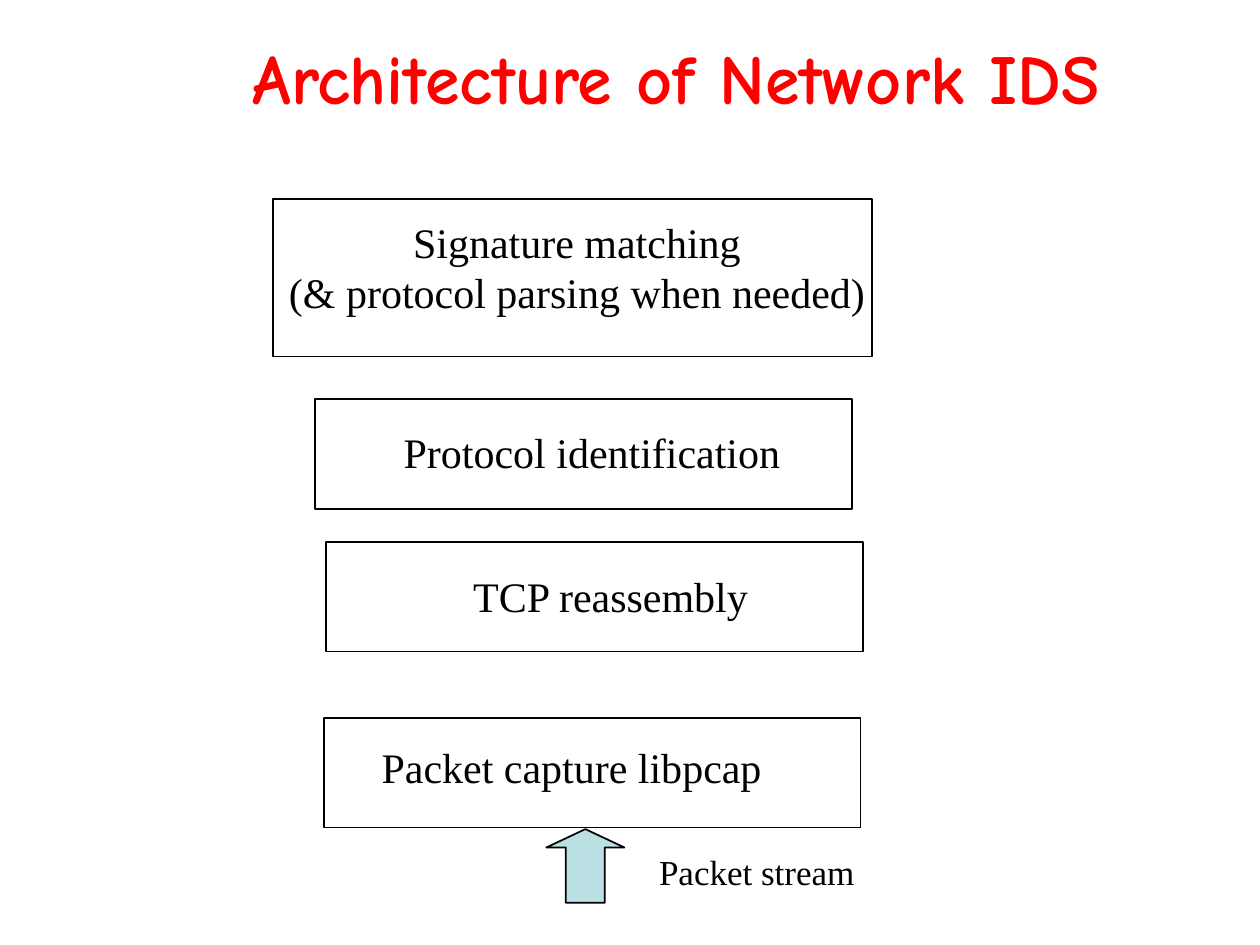
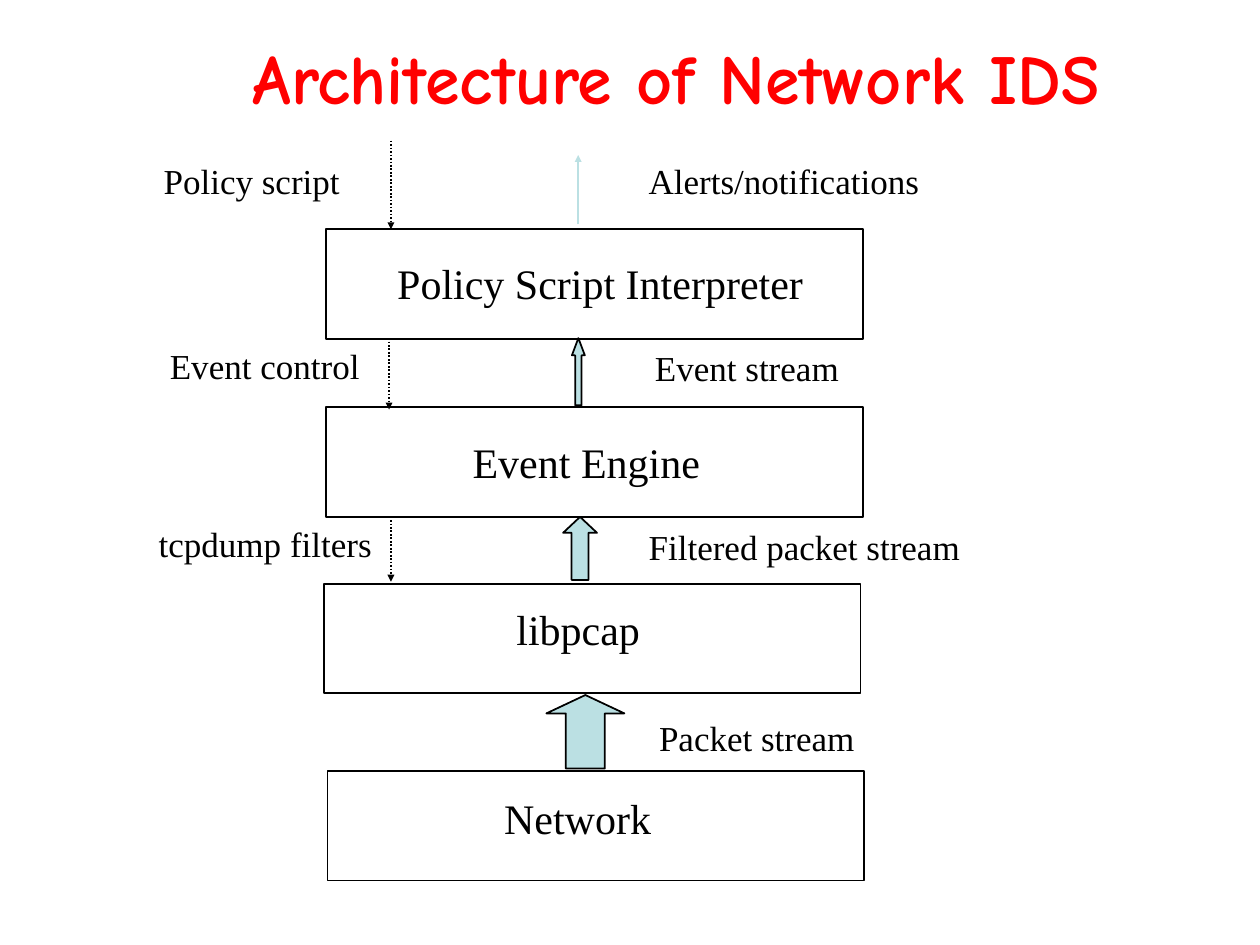
import pptx
import pptx.util
import pptx.dml.color
import pptx.enum.dml
import pptx.enum.shapes
import pptx.enum.text
from lxml import etree

Pt = pptx.util.Pt
SHAPES = pptx.enum.shapes.MSO_SHAPE
ALIGN = pptx.enum.text.PP_ALIGN
ANCHOR = pptx.enum.text.MSO_ANCHOR
AUTO_SIZE = pptx.enum.text.MSO_AUTO_SIZE
DASH = pptx.enum.dml.MSO_LINE

# Shared look
TITLE = "Architecture of Network IDS"
TITLE_FONT, BODY_FONT = "Comic Neue", "Times New Roman"
RED, BLACK, PALE_BLUE = "FF0000", "000000", "BBE0E3"
LAYER_SIZE, FLOW_SIZE = 24, 20
BOX_WIDTH, BOX_HEIGHT = 306.7, 62.6


def paint(color_format, hex_color):
    color_format.rgb = pptx.dml.color.RGBColor.from_string(hex_color)


def write(paragraph, text, font_name, size, hex_color):
    run = paragraph.add_run()
    run.text = text
    run.font.name = font_name
    run.font.size = Pt(size)
    paint(run.font.color, hex_color)
    return run


# Boxes: left, top, width, height
# Labels: lines, size, left, top, width, height (widths leave room to spare)
# Block arrows: left, top, width, height, head length
# Thin arrows: x, start y, end y, colour, dash
layer_slide = {
    "boxes": [
        (156.2, 113.8, 342, 90),
        (180, 228.2, BOX_WIDTH, BOX_HEIGHT),
        (186.5, 309.8, BOX_WIDTH, BOX_HEIGHT),
        (185, 410.3, BOX_WIDTH, BOX_HEIGHT),
    ],
    "labels": [
        (["Signature matching", "(& protocol parsing when needed)"],
         LAYER_SIZE, 156.2, 120, 347, 65),
        (["Protocol identification"], LAYER_SIZE, 223.6, 240, 238, 36),
        (["TCP reassembly"], LAYER_SIZE, 263.3, 322.6, 180, 36),
        (["Packet capture libpcap"], LAYER_SIZE, 211, 420, 240, 36),
        (["Packet stream"], FLOW_SIZE, 369.5, 482.4, 134, 31.5),
    ],
    "block_arrows": [(312.2, 473.8, 44.6, 42, 0.25)],
    "thin_arrows": [],
}
engine_slide = {
    "boxes": [
        (186.5, 131, BOX_WIDTH, BOX_HEIGHT),
        (186.5, 232.8, BOX_WIDTH, BOX_HEIGHT),
        (185, 333.6, BOX_WIDTH, BOX_HEIGHT),
        (187.2, 440.6, BOX_WIDTH, BOX_HEIGHT),
    ],
    "labels": [
        (["Policy Script Interpreter"], LAYER_SIZE, 219.9, 143.6, 254, 36),
        (["Event Engine"], LAYER_SIZE, 263, 245.8, 152, 36),
        (["libpcap"], LAYER_SIZE, 288, 341.6, 93, 36),
        (["Network"], LAYER_SIZE, 281, 449.6, 106, 36),
        (["Policy script"], FLOW_SIZE, 86.4, 87.8, 123, 31.5),
        (["Event control"], FLOW_SIZE, 90, 193.3, 130, 31.5),
        (["tcpdump filters"], FLOW_SIZE, 83.6, 295.2, 144, 31.5),
        (["Alerts/notifications"], FLOW_SIZE, 363.6, 87.8, 177, 31.5),
        (["Event stream"], FLOW_SIZE, 367.2, 194.6, 127, 31.5),
        (["Filtered packet stream"], FLOW_SIZE, 363.6, 296.8, 200, 31.5),
        (["Packet stream"], FLOW_SIZE, 369.5, 405.6, 134, 31.5),
    ],
    "block_arrows": [
        (326.8, 193.2, 7.4, 38.4, 1.33),
        (321.8, 295.4, 19.4, 36, 0.47),
        (312.2, 397.2, 44.6, 42, 0.25),
    ],
    "thin_arrows": [
        (330.4, 128.2, 88.6, PALE_BLUE, None),
        (223.4, 80.4, 131, BLACK, DASH.ROUND_DOT),
        (222.3, 193.2, 234, BLACK, DASH.ROUND_DOT),
        (223.4, 295.2, 332.4, BLACK, DASH.ROUND_DOT),
    ],
}

presentation = pptx.Presentation()
presentation.slide_width = Pt(720)
presentation.slide_height = Pt(540)

for content in (layer_slide, engine_slide):
    slide = presentation.slides.add_slide(presentation.slide_layouts[5])

    # Title
    title = slide.shapes.title
    title.left, title.top, title.width, title.height = Pt(82.8), Pt(12.2), Pt(607), Pt(63.4)
    title.text_frame.auto_size = AUTO_SIZE.NONE
    title.text_frame.vertical_anchor = ANCHOR.MIDDLE
    paragraph = title.text_frame.paragraphs[0]
    paragraph.alignment = ALIGN.CENTER
    paragraph.space_before, paragraph.space_after = Pt(12), Pt(3)
    write(paragraph, TITLE, TITLE_FONT, 40, RED).font.bold = True

    # Layer boxes
    for bounds in content["boxes"]:
        box = slide.shapes.add_shape(SHAPES.RECTANGLE, *map(Pt, bounds))
        box.shadow.inherit = False
        box.fill.background()
        paint(box.line.color, BLACK)
        box.line.width = Pt(1)

    # Block arrows for the data flow
    for *bounds, head_length in content["block_arrows"]:
        arrow = slide.shapes.add_shape(SHAPES.UP_ARROW, *map(Pt, bounds))
        arrow.adjustments[1] = head_length
        arrow.shadow.inherit = False
        arrow.fill.solid()
        paint(arrow.fill.fore_color, PALE_BLUE)
        paint(arrow.line.color, BLACK)
        arrow.line.width = Pt(1)

    # Thin arrows for control and alerts
    for x, start, end, hex_color, dash in content["thin_arrows"]:
        connector = slide.shapes.add_connector(
            pptx.enum.shapes.MSO_CONNECTOR.STRAIGHT, Pt(x), Pt(start), Pt(x), Pt(end))
        paint(connector.line.color, hex_color)
        connector.line.width = Pt(1)
        if dash:
            connector.line.dash_style = dash
        line = connector.line._get_or_add_ln()
        etree.SubElement(line, pptx.oxml.ns.qn("a:tailEnd"), type="triangle", w="sm", len="sm")
        etree.SubElement(connector._element.spPr, pptx.oxml.ns.qn("a:effectLst"))

    # Labels
    for lines, size, *bounds in content["labels"]:
        label = slide.shapes.add_textbox(*map(Pt, bounds))
        frame = label.text_frame
        frame.word_wrap = True
        frame.auto_size = AUTO_SIZE.NONE
        for index, text in enumerate(lines):
            paragraph = frame.add_paragraph() if index else frame.paragraphs[0]
            paragraph.alignment = ALIGN.CENTER if len(lines) > 1 else ALIGN.LEFT
            write(paragraph, text, BODY_FONT, size, BLACK)

presentation.save("out.pptx")
